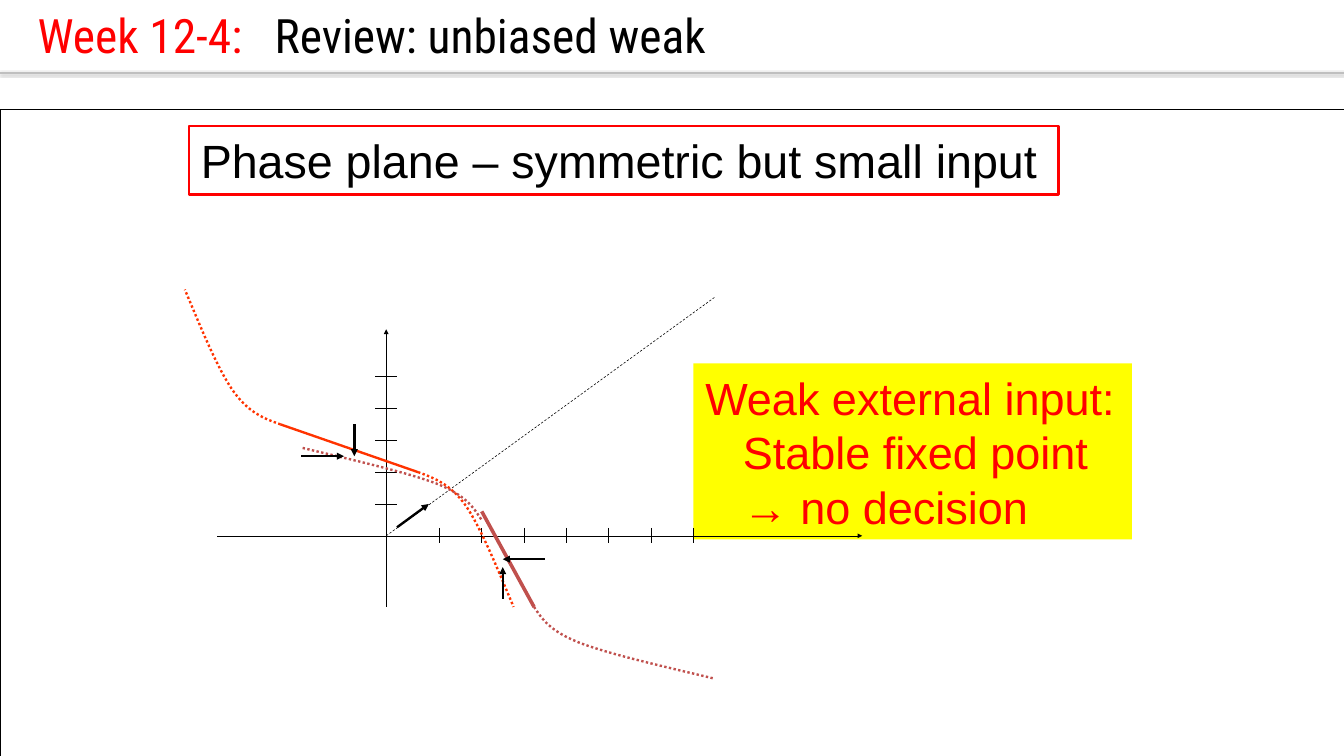
from typing import NamedTuple

from lxml import etree
from pptx import Presentation
from pptx.dml.color import RGBColor
from pptx.enum.dml import MSO_LINE
from pptx.enum.shapes import MSO_CONNECTOR, MSO_SHAPE
from pptx.enum.text import MSO_ANCHOR, MSO_AUTO_SIZE, PP_ALIGN
from pptx.oxml import parse_xml
from pptx.oxml.ns import nsdecls, qn
from pptx.util import Inches, Pt

Point = tuple[float, float]

COLORS = {
    "black": "000000", "red": "FF0000", "yellow": "FFFF00",
    "orange": "FF3300", "brick": "C0504D", "gray": "BFBFBF",
}
ORIGIN_X, ORIGIN_Y = 6.79, 9.42
X_STEP, Y_STEP = 0.745, 0.56
CURVE_STEPS = 16
TITLE_TAB = 4.17
LIST_INDENT = 0.66


class Segment(NamedTuple):
    start: Point
    end: Point
    color: str = "black"
    width: float = 0.75
    dash: MSO_LINE | None = None
    arrow: bool = False


class Curve(NamedTuple):
    """Chain of cubic Beziers: a start, then two controls and an end for each."""
    points: list[Point]
    color: str


class Box(NamedTuple):
    left: float
    top: float
    width: float
    height: float
    fill: str | None = None
    line: str | None = None
    line_width: float = 0.75


FRAME = Box(0, 1.93, 23.63, 13.29, line="black")
HEADING = Box(3.32, 2.21, 15.29, 1.21, line="red", line_width=3)
CALLOUT = Box(12.19, 6.39, 7.71, 3.09, fill="yellow")

AXES = [
    Segment((ORIGIN_X, 10.67), (ORIGIN_X, 5.79), arrow=True),
    Segment((3.82, ORIGIN_Y), (15.16, ORIGIN_Y), arrow=True),
    Segment((ORIGIN_X, ORIGIN_Y), (12.56, 5.23), dash=MSO_LINE.DASH),
]
X_TICKS = [Segment((x, 9.28), (x, 9.55))
           for x in (7.72 + X_STEP * i for i in range(7))]
Y_TICKS = [Segment((6.6, y), (6.98, y))
           for y in (ORIGIN_Y - Y_STEP * i for i in range(1, 6))]
NULLCLINES = [
    Segment((4.93, 7.46), (7.35, 8.3), "orange", 3),
    Segment((8.47, 8.99), (9.39, 10.67), "brick", 4.5),
]
CURVES = [
    Curve([(7.35, 8.3), (7.62, 8.4), (7.91, 8.5), (8.19, 8.89),
           (8.46, 9.29), (8.74, 9.98), (9.03, 10.67)], "orange"),
    Curve([(4.93, 7.46), (4.65, 7.36), (4.37, 7.26), (4.09, 6.86),
           (3.82, 6.47), (3.54, 5.78), (3.25, 5.09)], "orange"),
    Curve([(9.39, 10.67), (9.53, 10.88), (9.66, 11.09), (10.19, 11.3),
           (10.71, 11.5), (11.64, 11.71), (12.56, 11.93)], "brick"),
    Curve([(8.46, 9.13), (8.33, 8.93), (8.2, 8.71), (7.67, 8.5),
           (7.14, 8.3), (6.22, 8.09), (5.3, 7.87)], "brick"),
]
FLOW_ARROWS = [Segment(start, end, width=3, arrow=True) for start, end in [
    ((6.98, 9.27), (7.54, 8.86)),
    ((8.84, 10.53), (8.84, 9.97)),
    ((9.58, 9.83), (8.84, 9.83)),
    ((5.3, 8.02), (6.05, 8.02)),
    ((6.23, 7.46), (6.23, 8.02)),
]]
SEPARATOR = Segment((0, 1.28), (23.63, 1.28), "gray", 2)


def rgb(name: str) -> RGBColor:
    return RGBColor.from_string(COLORS[name])


def set_line(line, color: str, width: float, dash: MSO_LINE | None = None) -> None:
    line.color.rgb = rgb(color)
    line.width = Pt(width)
    if dash is not None:
        line.dash_style = dash


def add_segment(shapes, seg: Segment):
    """Draws a connector and returns its empty effect list."""
    cn = shapes.add_connector(MSO_CONNECTOR.STRAIGHT,
                              *map(Inches, (*seg.start, *seg.end)))
    set_line(cn.line, seg.color, seg.width, seg.dash)
    sp_pr = cn.element.spPr
    if seg.arrow:
        etree.SubElement(sp_pr.find(qn("a:ln")), qn("a:tailEnd"), type="triangle")
    return etree.SubElement(sp_pr, qn("a:effectLst"))


def bezier(p0: Point, p1: Point, p2: Point, p3: Point, t: float) -> Point:
    u = 1 - t
    x, y = (u**3 * a + 3 * u * u * t * b + 3 * u * t * t * c + t**3 * d
            for a, b, c, d in zip(p0, p1, p2, p3))
    return x, y


def add_curve(shapes, curve: Curve) -> None:
    pts = curve.points
    samples = [bezier(*pts[i:i + 4], k / CURVE_STEPS)
               for i in range(0, len(pts) - 1, 3)
               for k in range(1, CURVE_STEPS + 1)]
    builder = shapes.build_freeform(*map(Inches, pts[0]))
    builder.add_line_segments([(Inches(x), Inches(y)) for x, y in samples],
                              close=False)
    sp = builder.convert_to_shape()
    sp.shadow.inherit = False
    sp.fill.background()
    set_line(sp.line, curve.color, 3, MSO_LINE.ROUND_DOT)


def add_box(shapes, box: Box):
    sp = shapes.add_shape(MSO_SHAPE.RECTANGLE, *map(Inches, box[:4]))
    sp.shadow.inherit = False
    if box.fill:
        sp.fill.solid()
        sp.fill.fore_color.rgb = rgb(box.fill)
    else:
        sp.fill.background()
    if box.line:
        set_line(sp.line, box.line, box.line_width)
    else:
        sp.line.fill.background()
    return sp


def format_frame(tf, inset_x: float, inset_y: float, anchor: MSO_ANCHOR,
                 wrap: bool = True) -> None:
    tf.margin_left = tf.margin_right = Inches(inset_x)
    tf.margin_top = tf.margin_bottom = Inches(inset_y)
    tf.vertical_anchor = anchor
    tf.auto_size = MSO_AUTO_SIZE.NONE
    tf.word_wrap = wrap


def write(p, text: str, *, size: float, color: str, font: str = "Arial",
          indent: float = 0, line_height: float | None = None) -> None:
    p.alignment = PP_ALIGN.LEFT
    if indent:
        p._p.get_or_add_pPr().set("marL", str(Inches(indent)))
    if line_height:
        p.line_spacing = Pt(line_height)
    r = p.add_run()
    r.text = text
    r.font.name = font
    r.font.size = Pt(size)
    r.font.color.rgb = rgb(color)


def add_title(title) -> None:
    title.left, title.top, title.width, title.height = map(
        Inches, (0.56, 0, 22.81, 1.61))
    format_frame(title.text_frame, 0.1, 0.1, MSO_ANCHOR.TOP)
    p = title.text_frame.paragraphs[0]
    tabs = etree.SubElement(p._p.get_or_add_pPr(), qn("a:tabLst"))
    etree.SubElement(tabs, qn("a:tab"), pos=str(Inches(TITLE_TAB)), algn="l")
    for text, color in (("Week 12-4:", "red"), ("\tReview: unbiased weak", "black")):
        write(p, text, size=60, color=color, font="Roboto Condensed")


def main() -> None:
    prs = Presentation()
    prs.slide_width, prs.slide_height = Inches(23.63), Inches(13.29)
    shapes = prs.slides.add_slide(prs.slide_layouts[5]).shapes
    add_title(shapes.title)

    add_box(shapes, FRAME)
    tf = add_box(shapes, HEADING).text_frame
    format_frame(tf, 0.21, 0.11, MSO_ANCHOR.MIDDLE, wrap=False)
    write(tf.paragraphs[0], "Phase plane – symmetric but small input",
          size=59, color="black")

    tf = add_box(shapes, CALLOUT).text_frame
    format_frame(tf, 0.21, 0.11, MSO_ANCHOR.MIDDLE, wrap=False)
    lines = [("Weak external input:", 0), ("Stable fixed point", LIST_INDENT),
             ("→ no decision", LIST_INDENT)]
    for i, (text, indent) in enumerate(lines):
        p = tf.add_paragraph() if i else tf.paragraphs[0]
        write(p, text, size=57, color="red", indent=indent, line_height=69)

    for seg in AXES + X_TICKS + Y_TICKS + NULLCLINES:
        add_segment(shapes, seg)
    for curve in CURVES:
        add_curve(shapes, curve)
    for seg in FLOW_ARROWS:
        add_segment(shapes, seg)
    add_segment(shapes, SEPARATOR).append(parse_xml(
        f'<a:outerShdw {nsdecls("a")} blurRad="{Pt(3.1)}" dist="{Pt(1.6)}" '
        'dir="5400000" rotWithShape="0"><a:srgbClr val="000000">'
        '<a:alpha val="38000"/></a:srgbClr></a:outerShdw>'))
    prs.save("out.pptx")


if __name__ == "__main__":
    main()
